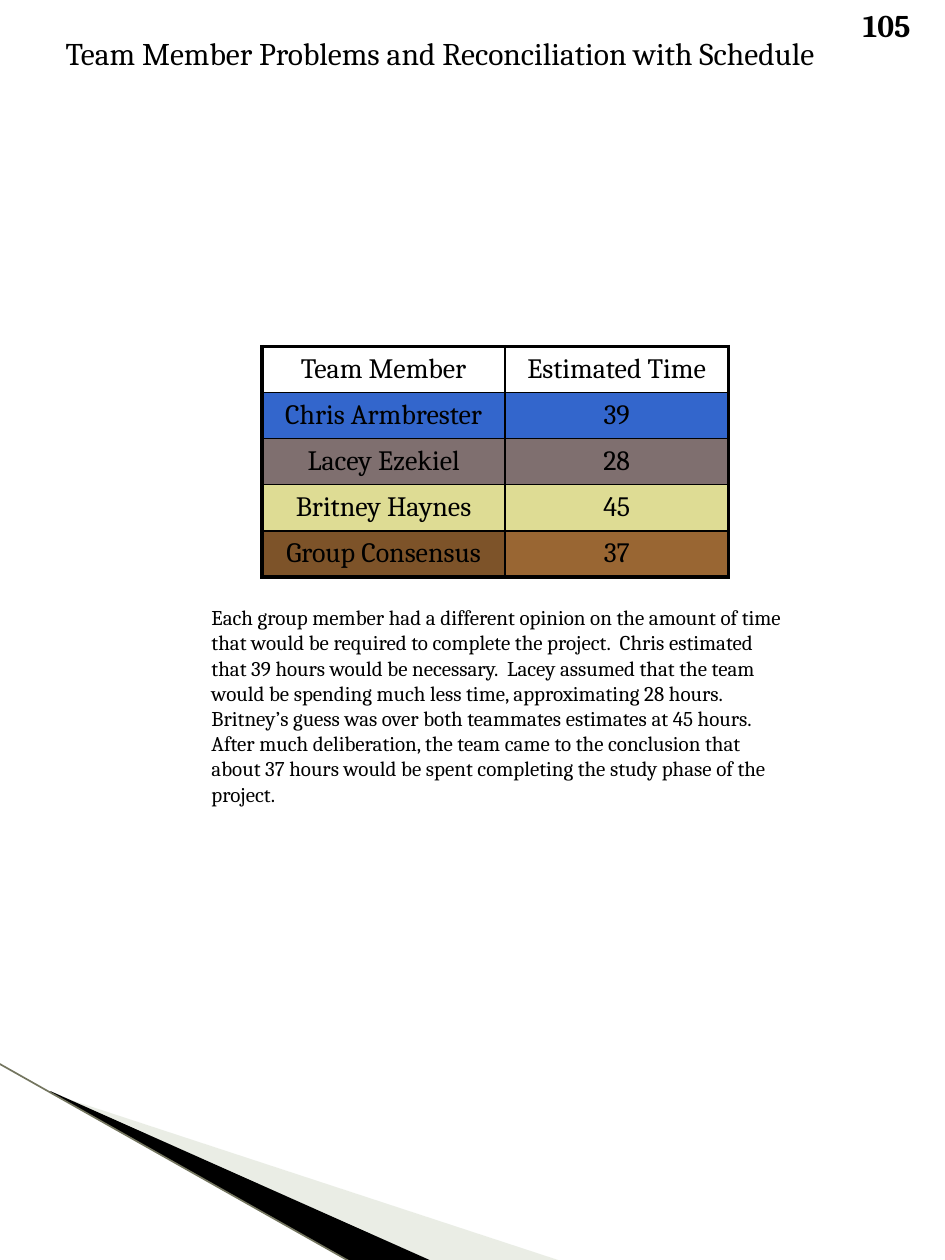
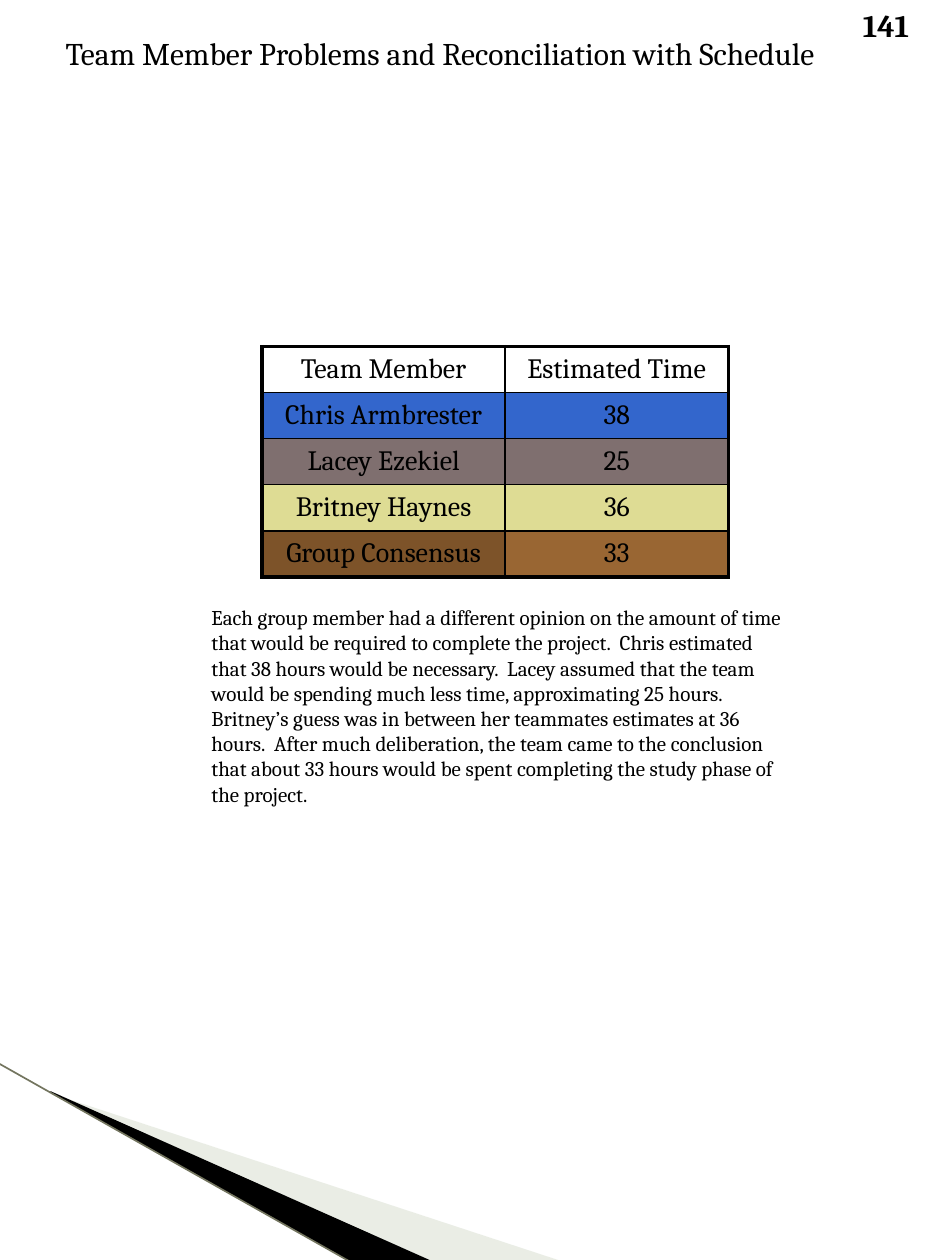
from lxml.etree import SubElement as Sub
from pptx import Presentation
from pptx.dml.color import RGBColor
from pptx.enum.shapes import MSO_CONNECTOR as Conn
from pptx.enum.text import MSO_ANCHOR as Anchor, PP_ALIGN as Align
from pptx.oxml.ns import qn
from pptx.util import Inches, Pt

FONT = "Cambria"
BLACK, WHITE = "000000", "FFFFFF"
THICK, THIN = 2.25, 1
TITLE = "Team Member Problems and Reconciliation with Schedule"
HEAD = ("Team Member", "Estimated Time")
WIDTHS = (1.93, 1.77)
ROW_H = 0.366
TEAM = (
    ("Chris Armbrester", "3366CC", "3366CC"),
    ("Lacey Ezekiel", "7F6F6F", "7F6F6F"),
    ("Britney Haynes", "DEDC94", "DEDC94"),
    ("Group Consensus", "7D5329", "996633"),
)
STORY = (
    "Each group member had a different opinion on the amount of time that would be "
    "required to complete the project.  Chris estimated that {0} hours would be "
    "necessary.  Lacey assumed that the team would be spending much less time, "
    "approximating {1} hours.  Britney’s guess was {guess} teammates estimates at "
    "{2} hours.  After much deliberation, the team came to the conclusion that about "
    "{3} hours would be spent completing the study phase of the project."
)
PAGES = (
    ("105", (39, 28, 45, 37), "over both"),
    ("141", (38, 25, 36, 33), "in between her"),
)


def color(code):
    """Turn a hex string into a colour."""
    return RGBColor.from_string(code)


def write(frame, text, size, bold=False, align=Align.LEFT):
    """Put one styled paragraph into a text frame."""
    frame.text = text
    para = frame.paragraphs[0]
    para.alignment = align
    font = para.runs[0].font
    font.name, font.size, font.bold = FONT, Pt(size), bold
    font.color.rgb = color(BLACK)


def place(shape, left, top, width, height):
    """Move and size a shape in inches."""
    shape.left, shape.top = Inches(left), Inches(top)
    shape.width, shape.height = Inches(width), Inches(height)


def add_title(slide):
    """Fill the title placeholder at the top left."""
    title = slide.shapes.title
    place(title, 0.42, 0.22, 6.25, 0.71)
    write(title.text_frame, TITLE, 18)
    title.text_frame.vertical_anchor = Anchor.TOP


def add_text(slide, box, text, size, bold=False):
    """Add a wrapped text box."""
    frame = slide.shapes.add_textbox(*map(Inches, box)).text_frame
    frame.word_wrap = True
    write(frame, text, size, bold)


def add_wedge(slide, points, fill, alpha=None):
    """Draw a filled outline through points in inches."""
    start, *rest = [(Inches(x), Inches(y)) for x, y in points]
    pen = slide.shapes.build_freeform(*start)
    pen.add_line_segments(rest, close=True)
    wedge = pen.convert_to_shape()
    wedge.shadow.inherit = False
    wedge.line.fill.background()
    wedge.fill.solid()
    wedge.fill.fore_color.rgb = color(fill)
    if alpha:
        tint = wedge.fill._xPr.find(".//" + qn("a:srgbClr"))
        Sub(tint, qn("a:alpha"), val=str(alpha * 1000))


def add_line(slide, start, end, code, width):
    """Draw a straight line without a shadow."""
    ends = map(Inches, (*start, *end))
    line = slide.shapes.add_connector(Conn.STRAIGHT, *ends)
    line.line.color.rgb = color(code)
    line.line.width = Pt(width)
    Sub(line._element.spPr, qn("a:effectLst"))


def add_corner(slide):
    """Draw the wedges and line in the bottom left corner."""
    add_wedge(slide, ((0.41, 8.68), (4.46, 10.01), (3.42, 10.01), (0.41, 8.67)),
              "CBD4C0", 40)
    add_wedge(slide, ((0.4, 8.66), (3.43, 10.01), (2.79, 10.02), (0.4, 8.67)), BLACK)
    add_line(slide, (-0.01, 8.44), (2.79, 10.02), "73755F", 0.95)


def set_edges(cell, edges):
    """Draw the cell's borders from side and width pairs."""
    props = cell._tc.get_or_add_tcPr()
    for side, width in edges:
        line = Sub(props, qn("a:ln" + side), w=str(Pt(width)))
        Sub(Sub(line, qn("a:solidFill")), qn("a:srgbClr"), val=BLACK)


def add_table(slide, hours):
    """Add the table of estimates with a thick outer frame."""
    rows = [(HEAD, (WHITE, WHITE))]
    rows += [((name, str(hour)), fills)
             for (name, *fills), hour in zip(TEAM, hours)]
    count = len(rows)
    size = (sum(WIDTHS), ROW_H * count)
    table = slide.shapes.add_table(
        count, len(WIDTHS), Inches(2.08), Inches(2.75), *map(Inches, size)).table
    table.first_row = table.horz_banding = False
    for col, width in zip(table.columns, WIDTHS):
        col.width = Inches(width)
    for r, (texts, fills) in enumerate(rows):
        table.rows[r].height = Inches(ROW_H)
        for c, (text, fill) in enumerate(zip(texts, fills)):
            cell = table.cell(r, c)
            outer = (("L", c == 0), ("R", c == len(WIDTHS) - 1),
                     ("T", r == 0), ("B", r == count - 1))
            set_edges(cell, [(side, THICK if out else THIN) for side, out in outer])
            cell.fill.solid()
            cell.fill.fore_color.rgb = color(fill)
            write(cell.text_frame, text, 16, align=Align.CENTER)


def main():
    """Build both slides and save them."""
    deck = Presentation()
    deck.slide_width, deck.slide_height = Inches(7.5), Inches(10)
    for number, hours, guess in PAGES:
        slide = deck.slides.add_slide(deck.slide_layouts[5])
        add_corner(slide)
        add_title(slide)
        add_table(slide, hours)
        add_text(slide, (1.58, 4.75, 4.75, 1.75),
                 STORY.format(*hours, guess=guess), 12)
        add_text(slide, (6.75, 0, 0.82, 0.4), number, 18, bold=True)
    deck.save("out.pptx")


if __name__ == "__main__":
    main()
